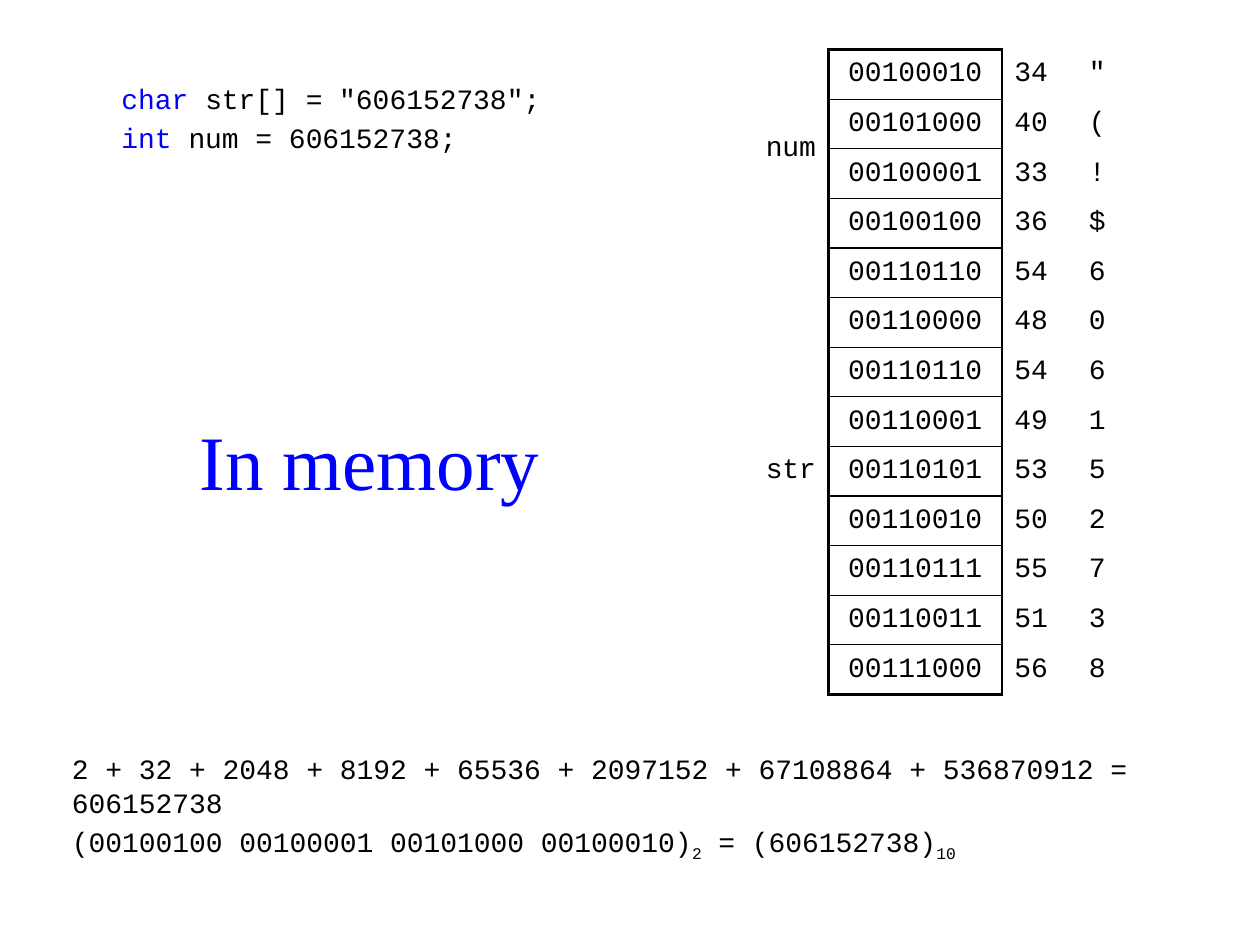
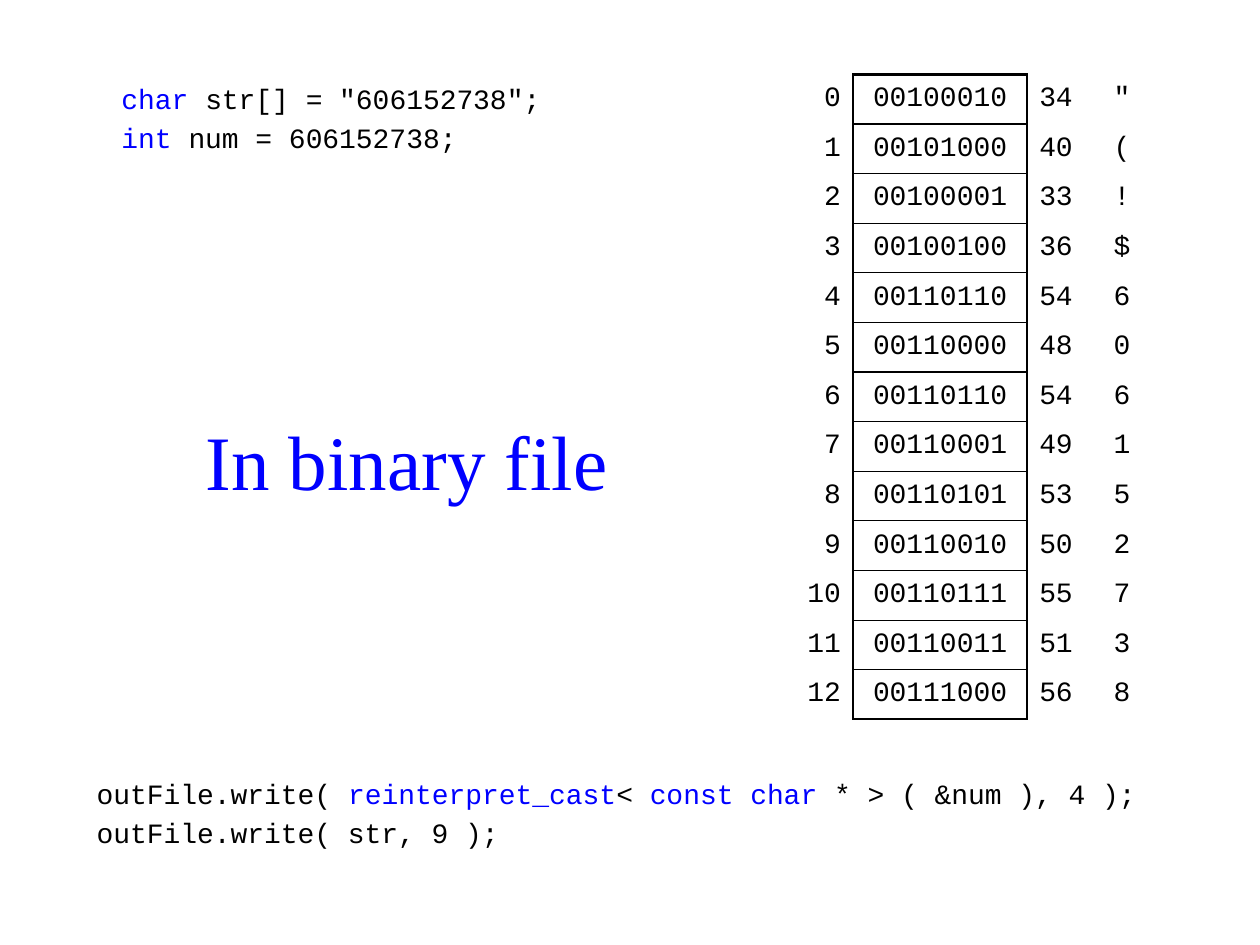
import pptx
import pptx.dml.color
import pptx.enum.text
import pptx.oxml.ns
import pptx.util
from lxml import etree

Cm = pptx.util.Cm
Align = pptx.enum.text.PP_ALIGN
Anchor = pptx.enum.text.MSO_ANCHOR

BLACK, BLUE, WHITE = "000000", "0000FF", "FFFFFF"
CODE_FONT, TITLE_FONT = "Courier New", "Times New Roman"
CODE_SIZE, TITLE_SIZE = 16, 44
THICK, THIN = 1.5, 0.75

# Memory cells: the four of num, low end first, then the digits of str
NUM_CELLS = [606152738 >> shift & 255 for shift in range(0, 32, 8)]
STR_CELLS = [ord(digit) for digit in "606152738"]
MEMORY = NUM_CELLS + STR_CELLS

DECLARATIONS = [
    [("char ", BLUE), ('str[] = "606152738";', BLACK)],
    [("int ", BLUE), ("num = 606152738;", BLACK)],
]


def color(hex_text):
    return pptx.dml.color.RGBColor.from_string(hex_text)


class SlideWriter:
    """Holds the deck style and the slide being written."""

    def __init__(self):
        self.deck = pptx.Presentation()
        self.deck.slide_width, self.deck.slide_height = Cm(25.4), Cm(19.05)
        self.page = None

    def new_page(self):
        self.page = self.deck.slides.add_slide(self.deck.slide_layouts[6])
        self.page.background.fill.solid()
        self.page.background.fill.fore_color.rgb = color(WHITE)

    def add_span(self, para, text, hex_text=BLACK, font=CODE_FONT, size=CODE_SIZE, baseline=0):
        span = para.add_run()
        span.text = text
        span.font.name = font
        span.font.size = pptx.util.Pt(size)
        span.font.color.rgb = color(hex_text)
        if baseline:
            span.font._element.set("baseline", str(baseline * 1000))

    def text_frame(self, left, top, width, height):
        box = self.page.shapes.add_textbox(Cm(left), Cm(top), Cm(width), Cm(height))
        box.text_frame.word_wrap = True
        return box.text_frame

    def title(self, text, width):
        frame = self.text_frame(3.7, 8.02, width, 2.5)
        frame.vertical_anchor = Anchor.MIDDLE
        para = frame.paragraphs[0]
        para.alignment = Align.CENTER
        self.add_span(para, text, BLUE, TITLE_FONT, TITLE_SIZE)

    def code(self, lines, left, top, width, height):
        frame = self.text_frame(left, top, width, height)
        for index, line in enumerate(lines):
            para = frame.add_paragraph() if index else frame.paragraphs[0]
            para.space_before = pptx.util.Pt(0.2 * CODE_SIZE)
            for text, hex_text, *baseline in line:
                self.add_span(para, text, hex_text, baseline=sum(baseline))

    def cell(self, cell, text, alignment, borders):
        cell.vertical_anchor = Anchor.MIDDLE
        cell.margin_left = cell.margin_right = Cm(0.25)
        cell.margin_top = cell.margin_bottom = Cm(0.1)
        para = cell.text_frame.paragraphs[0]
        para.alignment = alignment
        if text:
            self.add_span(para, text)
        properties = cell._tc.get_or_add_tcPr()
        qn = pptx.oxml.ns.qn
        for side in "LRTB":
            line = etree.SubElement(properties, qn(f"a:ln{side}"))
            if side in borders:
                line.set("w", str(pptx.util.Pt(borders[side])))
                fill = etree.SubElement(line, qn("a:solidFill"))
                etree.SubElement(fill, qn("a:srgbClr")).set("val", BLACK)
            else:
                etree.SubElement(line, qn("a:noFill"))
        cell.fill.background()

    def memory_table(self, labels, left, top, label_width):
        """Labels map a first row to (text, number of rows)."""
        widths = [label_width, 3.5, 1.5, 1]
        count = len(MEMORY)
        table = self.page.shapes.add_table(
            count, len(widths), Cm(left), Cm(top), Cm(sum(widths)), Cm(count)).table
        table.first_row = table.horz_banding = False
        for column, width in zip(table.columns, widths):
            column.width = Cm(width)
        for row, value in enumerate(MEMORY):
            table.rows[row].height = Cm(1)
            frame = {
                "L": THICK, "R": THICK,
                "T": THIN if row else THICK,
                "B": THIN if row < count - 1 else THICK,
            }
            label, row_span = labels.get(row, ("", 1))
            contents = [
                (label, Align.RIGHT, {"R": THICK}),
                (f"{value:08b}", Align.CENTER, frame),
                (str(value), Align.LEFT, {"L": THICK}),
                (chr(value), Align.LEFT, {}),
            ]
            for column, content in enumerate(contents):
                self.cell(table.cell(row, column), *content)
            if row_span > 1:
                table.cell(row, 0).merge(table.cell(row + row_span - 1, 0))


def main():
    writer = SlideWriter()

    # Variables in memory
    writer.new_page()
    variables = {0: ("num", len(NUM_CELLS)), len(NUM_CELLS): ("str", len(STR_CELLS))}
    writer.memory_table(variables, 14.7, 1, 2)
    writer.title("In memory", 7.5)
    writer.code([
        [("2 + 32 + 2048 + 8192 + 65536 + 2097152 + 67108864 + 536870912 = 606152738", BLACK)],
        [("(00100100 00100001 00101000 00100010)", BLACK), ("2", BLACK, -25),
         (" = (606152738)", BLACK), ("10", BLACK, -25)],
    ], 1.2, 15.03, 22, 2.5)
    writer.code(DECLARATIONS, 2.2, 1.52, 9.5, 2)

    # Contents of the binary file
    writer.new_page()
    offsets = {row: (str(row), 1) for row in range(len(MEMORY))}
    writer.memory_table(offsets, 15.7, 1.5, 1.5)
    writer.title("In binary file", 9)
    writer.code([
        [("outFile.write( ", BLACK), ("reinterpret_cast", BLUE), ("< ", BLACK),
         ("const char", BLUE), (" * > ( &num ), 4 );", BLACK)],
        [("outFile.write( str, 9 );", BLACK)],
    ], 1.7, 15.52, 21.5, 2)
    writer.code(DECLARATIONS, 2.2, 1.52, 9, 2)

    writer.deck.save("out.pptx")


if __name__ == "__main__":
    main()
